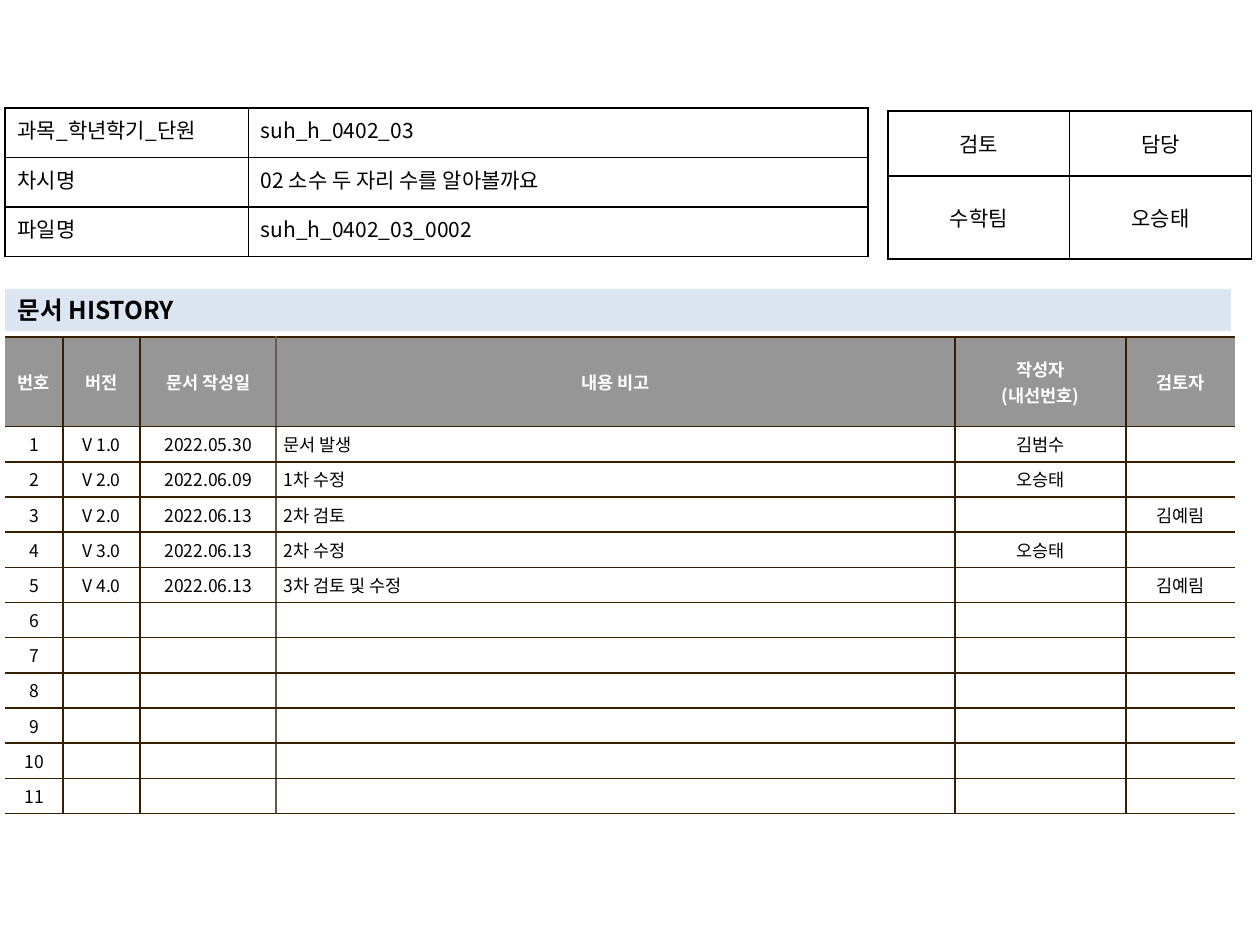
from lxml import etree
from pptx import Presentation
from pptx.dml.color import RGBColor
from pptx.enum.text import MSO_ANCHOR, MSO_AUTO_SIZE, PP_ALIGN
from pptx.oxml.ns import qn
from pptx.util import Pt

TOP, MIDDLE = MSO_ANCHOR.TOP, MSO_ANCHOR.MIDDLE
LEFT, CENTER = PP_ALIGN.LEFT, PP_ALIGN.CENTER
FONT = "Noto Sans CJK KR"
NO_GRID_STYLE = "{2D5ABB26-0587-4C30-8999-92F81FD0307C}"
BLACK = RGBColor(0x00, 0x00, 0x00)
WHITE = RGBColor(0xFF, 0xFF, 0xFF)
GRAY = RGBColor(0x96, 0x96, 0x96)
PALE_BLUE = RGBColor(0xDC, 0xE6, 0xF2)
BROWN = RGBColor(0x36, 0x20, 0x00)
TAUPE = RGBColor(0x64, 0x5B, 0x4C)

TITLE = "문서 HISTORY"
INFO = [
    ("과목_학년학기_단원", "suh_h_0402_03"),
    ("차시명", "02 소수 두 자리 수를 알아볼까요"),
    ("파일명", "suh_h_0402_03_0002"),
]
REVIEW = [("검토", "담당"), ("수학팀", "오승태")]
HEADER = ("번호", "버전", "문서 작성일", "내용 비고", "작성자\n(내선번호)", "검토자")
HISTORY = [
    ("V 1.0", "2022.05.30", "문서 발생", "김범수", ""),
    ("V 2.0", "2022.06.09", "1차 수정", "오승태", ""),
    ("V 2.0", "2022.06.13", "2차 검토", "", "김예림"),
    ("V 3.0", "2022.06.13", "2차 수정", "오승태", ""),
    ("V 4.0", "2022.06.13", "3차 검토 및 수정", "", "김예림"),
]
HISTORY_ROWS = 11
NOTE_COL = 3

INFO_COLS, INFO_HEIGHTS = [139, 354], [28.3] * 3
REVIEW_COLS, REVIEW_HEIGHTS = [103.8, 103.8], [37.2, 47.5]
HISTORY_COLS = [33.1, 44.1, 77.7, 388, 97.7, 62.6]
HISTORY_HEIGHTS = [51.1] + [20.1] * HISTORY_ROWS


def format_text(tf, size, align, color=BLACK, bold=False):
    for p in tf.paragraphs:
        p.alignment = align
        if not p.runs:
            # An empty cell would otherwise grow to the default text size
            p._p.get_or_add_endParaRPr().set("sz", str(size * 100))
        for r in p.runs:
            r.font.size, r.font.bold, r.font.name = Pt(size), bold, FONT
            r.font.color.rgb = color
            ea = etree.SubElement(r._r.get_or_add_rPr(), qn("a:ea"))
            ea.set("typeface", FONT)


def set_borders(cell, colors):
    """Draw left, right, top and bottom borders; None leaves a side open."""
    tcPr = cell._tc.get_or_add_tcPr()
    for i, (side, color) in enumerate(zip(("lnL", "lnR", "lnT", "lnB"), colors)):
        ln = etree.Element(qn(f"a:{side}"), w=str(Pt(1)))
        if color is None:
            etree.SubElement(ln, qn("a:noFill"))
        else:
            fill = etree.SubElement(ln, qn("a:solidFill"))
            etree.SubElement(fill, qn("a:srgbClr"), val=str(color))
        tcPr.insert(i, ln)


def add_grid(slide, left, top, cols, heights, rows):
    """Add an unstyled table with text and return it."""
    frame = slide.shapes.add_table(len(rows), len(cols), Pt(left), Pt(top),
                                   Pt(sum(cols)), Pt(sum(heights)))
    table = frame.table
    table.first_row = table.horz_banding = False
    table._tbl.tblPr.find(qn("a:tableStyleId")).text = NO_GRID_STYLE
    for col, width in zip(table.columns, cols):
        col.width = Pt(width)
    for row, height, texts in zip(table.rows, heights, rows):
        row.height = Pt(height)
        for cell, text in zip(row.cells, texts):
            cell.text = text
    return table


def add_form(slide, left, top, cols, heights, rows, anchor, align):
    table = add_grid(slide, left, top, cols, heights, rows)
    for cell in table.iter_cells():
        cell.vertical_anchor = anchor
        format_text(cell.text_frame, 12, align)
        set_borders(cell, [BLACK] * 4)


def add_history(slide, left, top):
    blank = ("",) * (len(HEADER) - 1)
    entries = HISTORY + [blank] * (HISTORY_ROWS - len(HISTORY))
    rows = [HEADER] + [(str(n), *entry) for n, entry in enumerate(entries, 1)]
    table = add_grid(slide, left, top, HISTORY_COLS, HISTORY_HEIGHTS, rows)
    # One colour per vertical rule; the outer sides stay open
    rules = [None] + [BROWN] * (len(HEADER) - 1) + [None]
    rules[NOTE_COL] = TAUPE
    for i, row in enumerate(table.rows):
        head = i == 0
        for j, cell in enumerate(row.cells):
            cell.vertical_anchor = MIDDLE
            cell.margin_left = cell.margin_right = Pt(4.3)
            cell.margin_top = cell.margin_bottom = Pt(2.8)
            cell.fill.solid()
            cell.fill.fore_color.rgb = GRAY if head else WHITE
            align = LEFT if j == NOTE_COL and not head else CENTER
            format_text(cell.text_frame, 10, align, WHITE if head else BLACK, head)
            set_borders(cell, [rules[j], rules[j + 1], BROWN, BROWN])


def add_title(slide):
    sp = slide.shapes.title
    sp.left, sp.top, sp.width, sp.height = Pt(2.9), Pt(165), Pt(700.5), Pt(24.2)
    sp.fill.solid()
    sp.fill.fore_color.rgb = PALE_BLUE
    tf = sp.text_frame
    tf.text = TITLE
    tf.word_wrap = True
    tf.auto_size = MSO_AUTO_SIZE.NONE
    tf.vertical_anchor = MIDDLE
    format_text(tf, 14, LEFT, bold=True)


def main():
    prs = Presentation()
    prs.slide_width, prs.slide_height = Pt(720), Pt(540)
    slide = prs.slides.add_slide(prs.slide_layouts[5])
    add_title(slide)
    add_history(slide, 2.9, 192.7)
    add_form(slide, 507.5, 63.3, REVIEW_COLS, REVIEW_HEIGHTS, REVIEW, MIDDLE, CENTER)
    add_form(slide, 2.9, 61.8, INFO_COLS, INFO_HEIGHTS, INFO, TOP, LEFT)
    prs.save("out.pptx")


if __name__ == "__main__":
    main()
